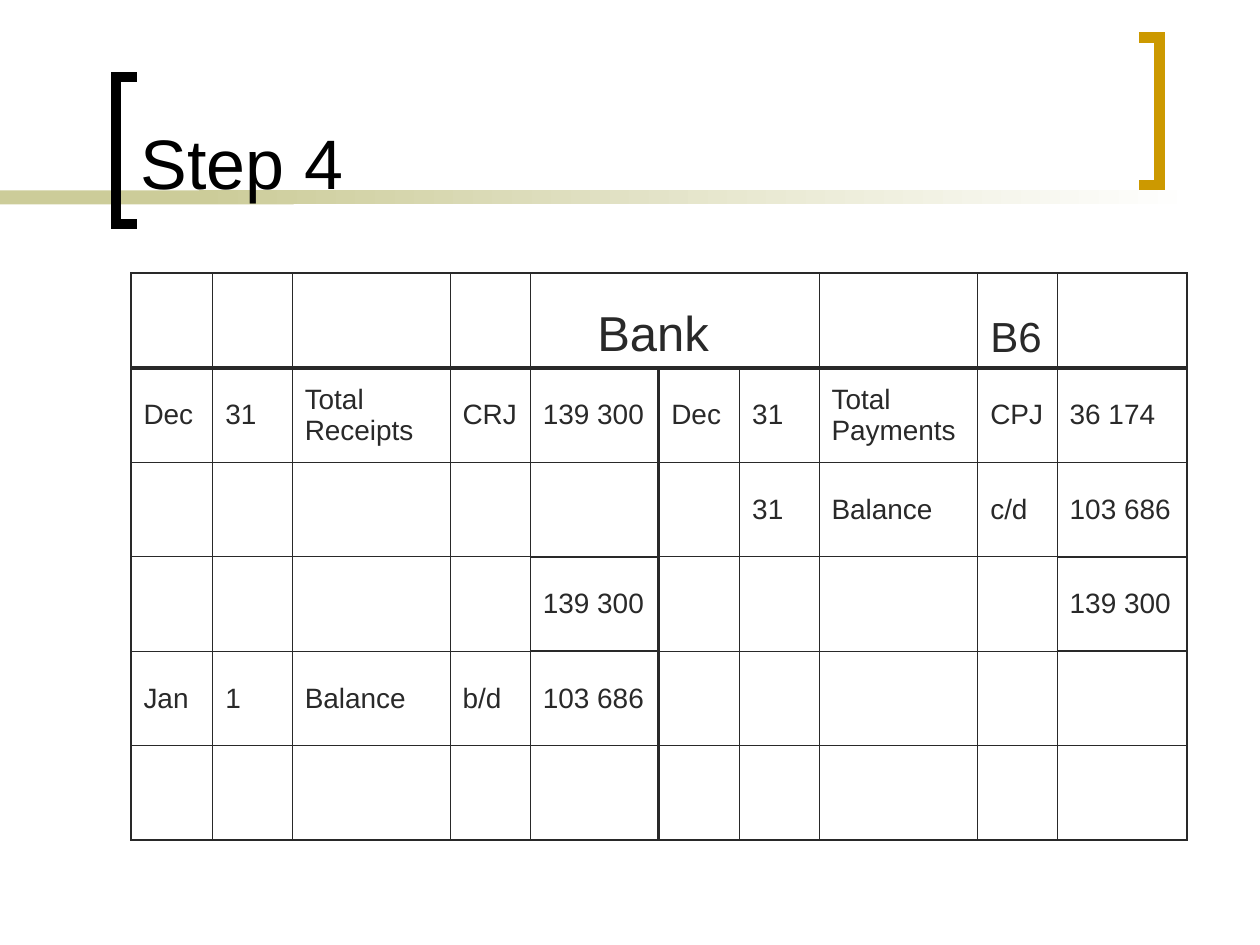
from dataclasses import dataclass

from lxml.etree import SubElement
from pptx import Presentation
from pptx.dml.color import RGBColor
from pptx.enum.shapes import MSO_SHAPE
from pptx.enum.text import MSO_ANCHOR
from pptx.oxml.ns import qn
from pptx.util import Cm, Pt


@dataclass(frozen=True)
class Theme:
    """Colours, type sizes and line weights of the slide."""
    font: str = "Arial"
    black: str = "000000"
    ink: str = "292929"
    gold: str = "CC9900"
    sage: str = "CCCC99"
    white: str = "FFFFFF"
    title: int = 40
    account: int = 28
    folio: int = 24
    entry: int = 16
    bracket: float = 6
    hairline: float = 0.45
    frame: float = 1.08
    total: float = 1.47
    heavy: float = 2.21


THEME = Theme()
COLUMN_WIDTHS = (1.65, 1.6, 3.18, 1.62, 2.59, 1.63, 1.6, 3.2, 1.6, 2.62)
LEDGER = (
    ("", "", "", "", "Bank", "", "", "", "B6", ""),
    ("Dec", "31", "Total Receipts", "CRJ", "139 300",
     "Dec", "31", "Total Payments", "CPJ", "36 174"),
    ("", "", "", "", "", "", "31", "Balance", "c/d", "103 686"),
    ("", "", "", "", "139 300", "", "", "", "", "139 300"),
    ("Jan", "1", "Balance", "b/d", "103 686", "", "", "", "", ""),
    ("",) * 10,
)
AMOUNT_COLUMNS = (4, 9)
SIDE_BOUNDARY = 5


def add_run(paragraph, text, size, colour):
    """Add one styled run to a paragraph."""
    run = paragraph.add_run()
    run.text = text
    run.font.name = THEME.font
    run.font.size = Pt(size)
    run.font.color.rgb = RGBColor.from_string(colour)


def add_bar(slide, left, top, width, height, fade=False):
    """Add a sage bar, optionally fading to white on the right."""
    bar = slide.shapes.add_shape(
        MSO_SHAPE.RECTANGLE, Cm(left), Cm(top), Cm(width), Cm(height))
    bar.shadow.inherit = False
    bar.line.fill.background()
    if fade:
        bar.fill.gradient()
        bar.fill.gradient_angle = 0
        for stop, colour in zip(bar.fill.gradient_stops, (THEME.sage, THEME.white)):
            stop.color.rgb = RGBColor.from_string(colour)
    else:
        bar.fill.solid()
        bar.fill.fore_color.rgb = RGBColor.from_string(THEME.sage)


def add_bracket(slide, left, top, width, height, colour, opens_right):
    """Draw a square bracket inside the given box."""
    tip, spine = (left + width, left) if opens_right else (left, left + width)
    bottom = top + height
    builder = slide.shapes.build_freeform(Cm(tip), Cm(top))
    builder.add_line_segments(
        [(Cm(spine), Cm(top)), (Cm(spine), Cm(bottom)), (Cm(tip), Cm(bottom))],
        close=False)
    bracket = builder.convert_to_shape()
    bracket.shadow.inherit = False
    bracket.fill.background()
    bracket.line.color.rgb = RGBColor.from_string(colour)
    bracket.line.width = Pt(THEME.bracket)
    SubElement(bracket.line._get_or_add_ln(), qn("a:miter"), lim="800000")


def add_header(slide, left, top, width, height):
    """Place the bars, brackets and title in the header box."""
    bar_top = top + 3.84
    add_bar(slide, left, bar_top, 5.92, 0.28)
    add_bar(slide, left + 4.01, bar_top, 20.12, 0.28, fade=True)
    add_bracket(slide, left + 2.34, top + 1.55, 0.42, 2.97, THEME.black, True)
    add_bracket(slide, left + 22.96, top + 0.76, 0.42, 2.97, THEME.gold, False)
    title = slide.shapes.add_textbox(
        Cm(left + 2.59), Cm(top + 0.28), Cm(width - 5.51), Cm(height - 0.58))
    frame = title.text_frame
    frame.word_wrap = True
    frame.vertical_anchor = MSO_ANCHOR.BOTTOM
    add_run(frame.paragraphs[0], "Step 4", THEME.title, THEME.black)


def vertical_weight(row, boundary):
    """Return the weight of a vertical rule of the ledger."""
    if boundary in (0, len(COLUMN_WIDTHS)):
        return THEME.frame
    return THEME.heavy if boundary == SIDE_BOUNDARY and row else THEME.hairline


def horizontal_weight(boundary, column):
    """Return the weight of a horizontal rule of the ledger."""
    if boundary in (0, len(LEDGER)):
        return THEME.frame
    if boundary == 1:
        return THEME.heavy
    is_total = boundary in (3, 4) and column in AMOUNT_COLUMNS
    return THEME.total if is_total else THEME.hairline


def rule_cell(cell, row, column):
    """Draw the four borders of a cell and clear its fill."""
    weights = {
        "a:lnL": vertical_weight(row, column),
        "a:lnR": vertical_weight(row, column + 1),
        "a:lnT": horizontal_weight(row, column),
        "a:lnB": horizontal_weight(row + 1, column),
    }
    properties = cell._tc.get_or_add_tcPr()
    for tag, weight in weights.items():
        line = SubElement(properties, qn(tag), w=str(Pt(weight)))
        SubElement(SubElement(line, qn("a:solidFill")), qn("a:srgbClr"), val=THEME.ink)
    cell.fill.background()


def add_ledger(slide, left, top, width, height):
    """Add the bank account table in the given box."""
    table = slide.shapes.add_table(
        len(LEDGER), len(COLUMN_WIDTHS), Cm(left), Cm(top), Cm(width), Cm(height)).table
    table.first_row = False
    table.horz_banding = False
    for column, column_width in zip(table.columns, COLUMN_WIDTHS):
        column.width = Cm(column_width)
    for row_index, entries in enumerate(LEDGER):
        for column_index, entry in enumerate(entries):
            cell = table.cell(row_index, column_index)
            rule_cell(cell, row_index, column_index)
            cell.vertical_anchor = MSO_ANCHOR.MIDDLE if row_index else MSO_ANCHOR.BOTTOM
            if entry:
                size = {"Bank": THEME.account, "B6": THEME.folio}.get(entry, THEME.entry)
                add_run(cell.text_frame.paragraphs[0], entry, size, THEME.ink)
    heading = table.cell(0, 4)
    heading.merge(table.cell(0, 6))
    heading.margin_left = Cm(1.35)


def main():
    """Build the slide and save it."""
    presentation = Presentation()
    presentation.slide_width = Cm(25.4)
    presentation.slide_height = Cm(19.05)
    slide = presentation.slides.add_slide(presentation.slide_layouts[6])
    add_header(slide, 0, 0, 25.4, 4.52)
    add_ledger(slide, 2.64, 5.51, 21.29, 11.43)
    presentation.save("out.pptx")


if __name__ == "__main__":
    main()
